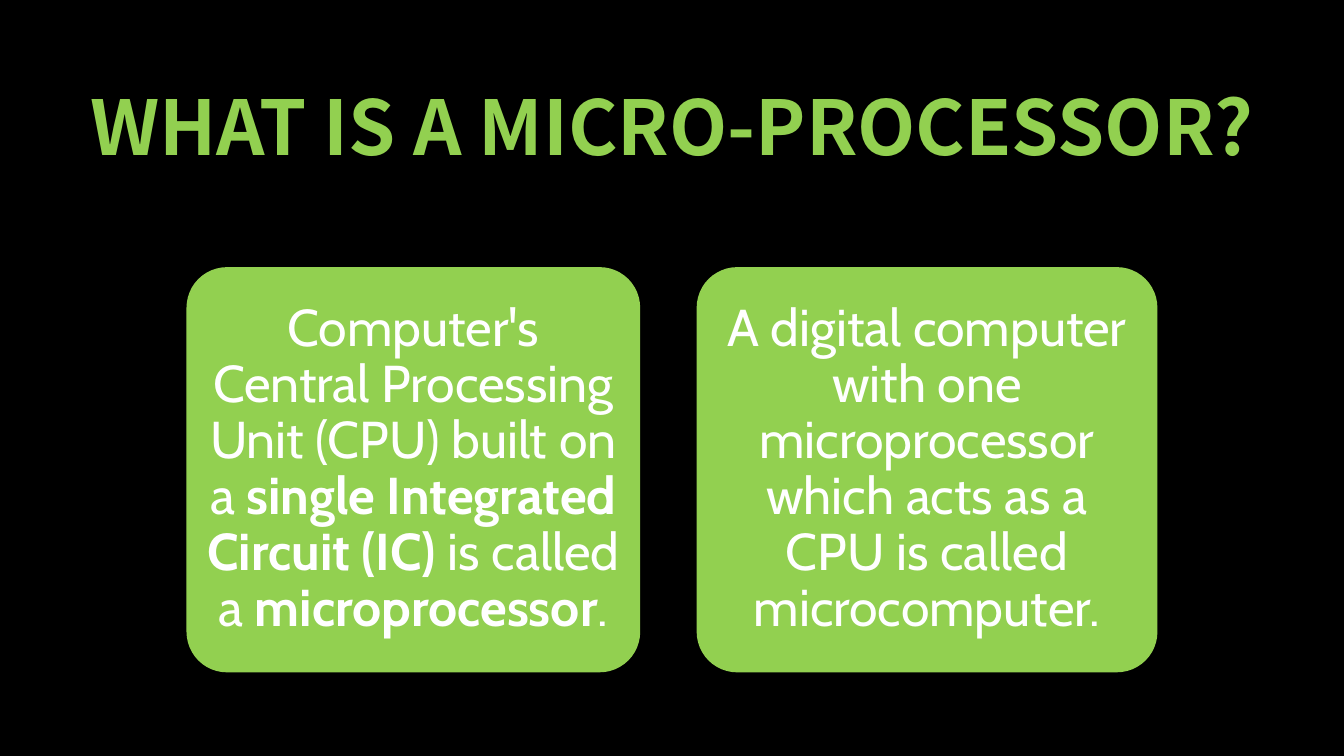
from pptx import Presentation
from pptx.dml.color import RGBColor
from pptx.enum.shapes import MSO_SHAPE
from pptx.enum.text import MSO_ANCHOR, PP_ALIGN
from pptx.util import Inches, Pt

GREEN, WHITE, BLACK = "92D050", "FFFFFF", "000000"


def paint(fill, tone):
    fill.solid()
    fill.fore_color.rgb = RGBColor.from_string(tone)


def write(shape, runs, font, size, tone, anchor):
    frame = shape.text_frame
    frame.word_wrap = True
    frame.vertical_anchor = anchor
    par = frame.paragraphs[0]
    par.alignment = PP_ALIGN.CENTER
    par.line_spacing = 0.9
    for text, bold in runs:
        run = par.add_run()
        run.text = text
        run.font.name = font
        run.font.size = Pt(size)
        run.font.bold = bold
        paint(run.font.fill, tone)
    return frame


# Slide
deck = Presentation()
deck.slide_width, deck.slide_height = Inches(13.33), Inches(7.5)
slide = deck.slides.add_slide(deck.slide_layouts[6])
paint(slide.background.fill, BLACK)

# Title
title = slide.shapes.add_textbox(0, Inches(0.5), deck.slide_width, Inches(1.25))
write(title, [("WHAT IS A MICRO-PROCESSOR?", True)],
      "Noto Sans CJK TC", 54, GREEN, MSO_ANCHOR.BOTTOM)

# Two cards: left, width, runs with their weight
cards = [
    (1.85, 4.5, [
        ("Computer's Central Processing Unit (CPU) built on a ", False),
        ("single Integrated Circuit (IC)", True),
        (" is called a ", False),
        ("microprocessor", True),
        (".", False),
    ]),
    (6.91, 4.57, [
        ("A digital computer with one microprocessor which acts as a CPU "
         "is called microcomputer.", False),
    ]),
]
for left, width, runs in cards:
    card = slide.shapes.add_shape(
        MSO_SHAPE.ROUNDED_RECTANGLE,
        Inches(left), Inches(2.65), Inches(width), Inches(4.02))
    card.adjustments[0] = 0.1
    card.shadow.inherit = False
    card.line.fill.background()
    paint(card.fill, GREEN)
    frame = write(card, runs, "Cabin", 37, WHITE, MSO_ANCHOR.MIDDLE)
    frame.margin_left = frame.margin_right = Inches(0.05)
    frame.margin_top = frame.margin_bottom = Inches(0.05)

deck.save("out.pptx")
